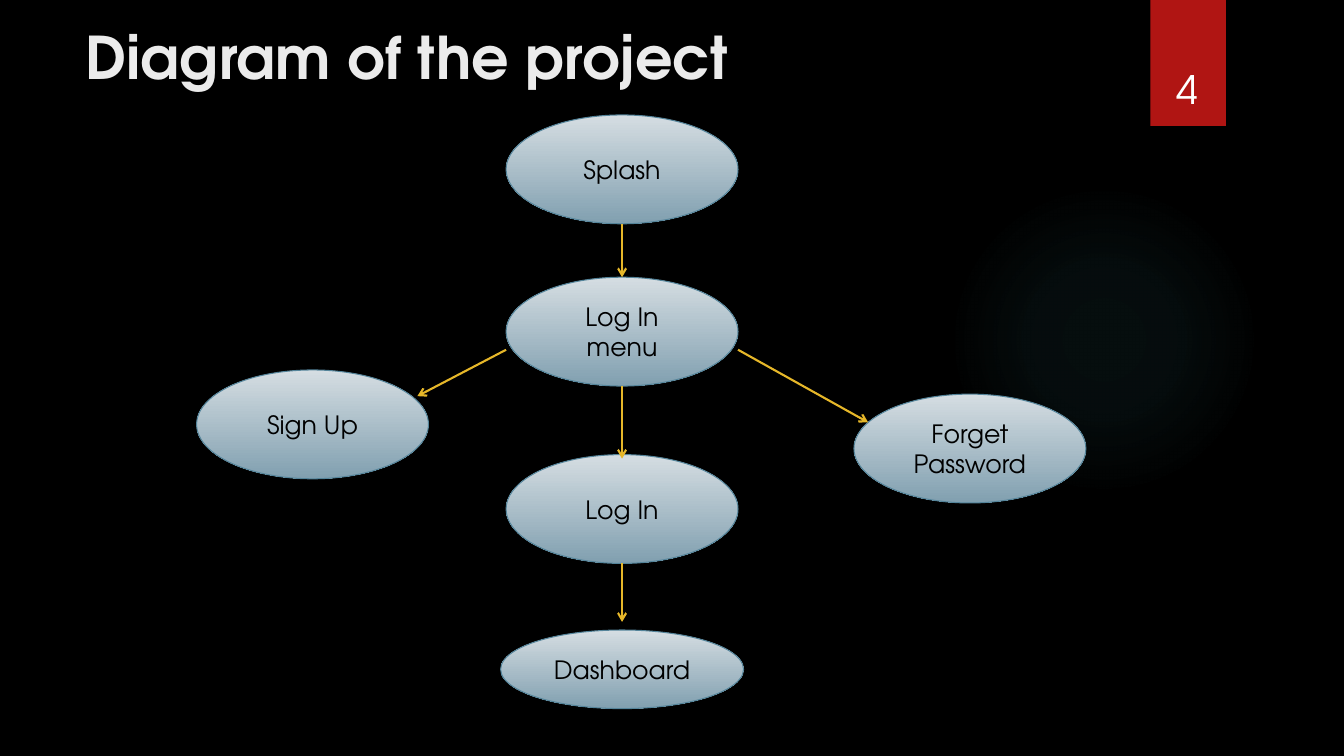
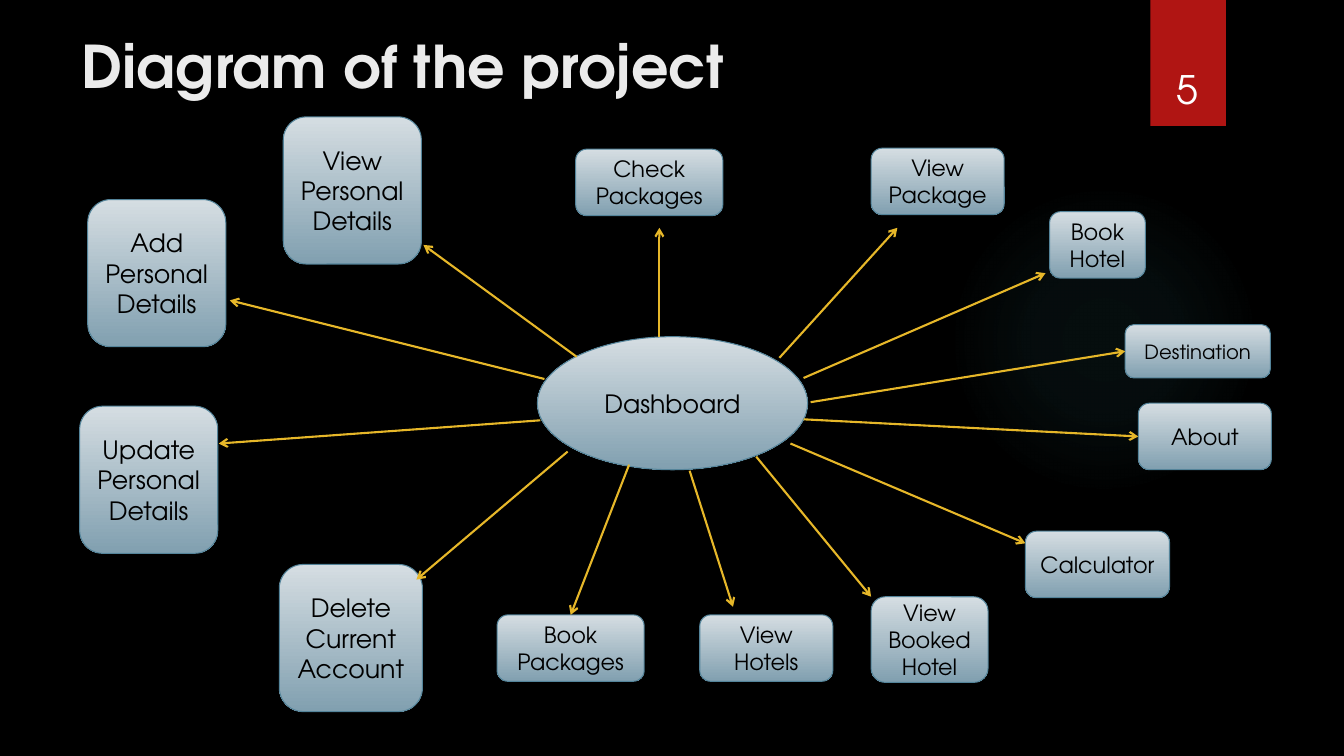
from lxml import etree
from pptx import Presentation
from pptx.dml.color import RGBColor
from pptx.enum.shapes import MSO_CONNECTOR, MSO_SHAPE
from pptx.enum.text import MSO_ANCHOR, PP_ALIGN
from pptx.oxml import parse_xml
from pptx.oxml.ns import nsdecls, qn
from pptx.util import Inches, Pt

OVAL, ROUND, RECT = MSO_SHAPE.OVAL, MSO_SHAPE.ROUNDED_RECTANGLE, MSO_SHAPE.RECTANGLE
STRAIGHT = MSO_CONNECTOR.STRAIGHT
LEFT, CENTER = PP_ALIGN.LEFT, PP_ALIGN.CENTER
TOP, MIDDLE, BOTTOM = MSO_ANCHOR.TOP, MSO_ANCHOR.MIDDLE, MSO_ANCHOR.BOTTOM
SIDE_TOP, SIDE_LEFT = 0, 1

FONT = "TeX Gyre Adventor"
BLACK = RGBColor(0x00, 0x00, 0x00)
WHITE = RGBColor(0xFF, 0xFF, 0xFF)
TITLE_COLOR = RGBColor(0xEB, 0xEB, 0xEB)
BAND_RED = RGBColor(0xB0, 0x15, 0x13)
GLOW_TEAL = RGBColor(0x50, 0xB9, 0xC1)
NODE_LIGHT = RGBColor(0xD5, 0xDD, 0xE2)
NODE_DARK = RGBColor(0x81, 0xA0, 0xB0)
NODE_EDGE = RGBColor(0x54, 0x84, 0x9A)
ARROW_GOLD = RGBColor(0xE6, 0xB7, 0x29)

SLIDE_W, SLIDE_H = 13.33, 7.5
GLOW_STOPS = [(0, 7), (36, 6), (69, 0)]
AXIS = 6.17
STEP = (2.3, 1.08)
TALL = (1.37, 1.46)
WIDE = (1.46, 0.66)
SHORT = (1.32, 0.66)


def centred(y, size):
    return AXIS - size[0] / 2, y, *size


SLIDES = [
    {
        "title": "Diagram of the project",
        "title_box": (0.75, 0.16, 9.33, 1.65),
        "number": "4",
        "nodes": [
            (OVAL, "Splash", centred(1.14, STEP), 18),
            (OVAL, "Log In menu", centred(2.75, STEP), 18),
            (OVAL, "Forget Password", (8.47, 3.91, *STEP), 18),
            (OVAL, "Sign Up", (1.95, 3.67, *STEP), 18),
            (OVAL, "Log In", centred(4.51, STEP), 18),
            (OVAL, "Dashboard", centred(6.25, (2.41, 0.78)), 18),
        ],
        "arrows": [
            ((AXIS, 2.22), (AXIS, 2.75), "Log In menu", SIDE_TOP),
            ((5.02, 3.47), (4.14, 3.93)),
            ((AXIS, 3.83), (AXIS, 4.55)),
            ((7.32, 3.47), (8.61, 4.19)),
            ((AXIS, 5.59), (AXIS, 6.17)),
        ],
    },
    {
        "title": "Diagram of the project",
        "title_box": (0.71, 0.25, 10.29, 0.95),
        "number": "5",
        "nodes": [
            (OVAL, "Dashboard", (5.33, 3.34, 2.68, 1.32), 18),
            (ROUND, "Add Personal\nDetails", (0.87, 1.98, *TALL), 18),
            (ROUND, "Update Personal\nDetails", (0.79, 4.03, *TALL), 18),
            (ROUND, "View Personal\nDetails", (2.81, 1.16, *TALL), 18),
            (ROUND, "Delete Current Account", (2.77, 5.6, 1.42, 1.46), 18),
            (ROUND, "Check Packages", (5.71, 1.48, *WIDE), 16),
            (ROUND, "Book Packages", (4.93, 6.1, *WIDE), 16),
            (ROUND, "View Package", (8.64, 1.47, *SHORT), 16),
            (ROUND, "View Hotels", (6.94, 6.1, *SHORT), 16),
            (ROUND, "Book Hotel", (10.41, 2.1, 0.95, 0.66), 16),
            (ROUND, "View Booked Hotel", (8.64, 5.92, 1.16, 0.85), 16),
            (ROUND, "Destination", (11.16, 3.22, 1.44, 0.53), 14),
            (ROUND, "Calculator", (10.17, 5.27, 1.43, 0.66), 16),
            (ROUND, "About", (11.29, 4, *SHORT), 16),
        ],
        "arrows": [
            ((6.54, 3.34), (6.54, 2.26)),
            ((7.73, 3.55), (8.9, 2.26)),
            ((7.97, 3.75), (10.37, 2.71)),
            ((8.04, 3.99), (11.16, 3.49), "Destination", SIDE_LEFT),
            ((7.97, 4.16), (11.29, 4.34), "About", SIDE_LEFT),
            ((7.84, 4.4), (10.17, 5.39)),
            ((7.5, 4.53), (8.64, 5.92)),
            ((6.84, 4.67), (7.27, 6.02)),
            ((6.24, 4.61), (5.66, 6.1), "Book Packages", SIDE_TOP),
            ((5.63, 4.48), (4.13, 5.75)),
            ((5.36, 4.17), (2.17, 4.4)),
            ((5.4, 3.76), (2.28, 2.98)),
            ((5.72, 3.54), (4.2, 2.43)),
        ],
    },
]


def inches(values):
    return [Inches(v) for v in values]


def write(sp, text, size, color, align, anchor, bold=False):
    tf = sp.text_frame
    tf.word_wrap = True
    tf.vertical_anchor = anchor
    tf.text = text
    for p in tf.paragraphs:
        p.alignment = align
        for r in p.runs:
            r.font.name = FONT
            r.font.size = Pt(size)
            r.font.bold = bold
            r.font.color.rgb = color


def add_label(s, box, *style, **options):
    write(s.shapes.add_textbox(*inches(box)), *style, **options)


def add_plain(s, kind, box):
    sp = s.shapes.add_shape(kind, *inches(box))
    sp.shadow.inherit = False
    sp.line.fill.background()
    return sp


def add_glow(s):
    sp = add_plain(s, OVAL, (9.41, 1.83, 3.08, 3.08))
    stops = "".join(
        f'<a:gs pos="{pos * 1000}"><a:srgbClr val="{GLOW_TEAL}">'
        f'<a:alpha val="{alpha * 1000}"/></a:srgbClr></a:gs>'
        for pos, alpha in GLOW_STOPS
    )
    grad = parse_xml(
        f'<a:gradFill {nsdecls("a")} rotWithShape="1"><a:gsLst>{stops}</a:gsLst>'
        '<a:path path="circle"><a:fillToRect l="50000" t="50000" r="50000" b="50000"/>'
        "</a:path></a:gradFill>"
    )
    sp._element.spPr.find(qn("a:prstGeom")).addnext(grad)


def add_frame(prs, data):
    s = prs.slides.add_slide(prs.slide_layouts[6])
    s.background.fill.solid()
    s.background.fill.fore_color.rgb = BLACK
    add_glow(s)
    band = add_plain(s, RECT, (11.41, 0, 0.75, 1.25))
    band.fill.solid()
    band.fill.fore_color.rgb = BAND_RED
    add_label(s, data["title_box"], data["title"], 42, TITLE_COLOR, LEFT, TOP, bold=True)
    add_label(s, (11.32, 0.32, 0.92, 0.84), data["number"], 28, WHITE, CENTER, BOTTOM)
    return s


def add_node(s, kind, text, box, size):
    sp = s.shapes.add_shape(kind, *inches(box))
    sp.shadow.inherit = False
    sp.fill.gradient()
    sp.fill.gradient_angle = 270
    for stop, color in zip(sp.fill.gradient_stops, (NODE_LIGHT, NODE_DARK)):
        stop.color.rgb = color
    sp.line.color.rgb = NODE_EDGE
    sp.line.width = Pt(0.75)
    write(sp, text, size, BLACK, CENTER, MIDDLE)
    return sp


def add_arrow(s, nodes, start, end, target=None, side=None):
    line = s.shapes.add_connector(STRAIGHT, *inches(start + end))
    if target:
        line.end_connect(nodes[target], side)
    line.line.color.rgb = ARROW_GOLD
    line.line.width = Pt(1.5)
    etree.SubElement(line.line._get_or_add_ln(), qn("a:tailEnd"), type="arrow")
    etree.SubElement(line._element.spPr, qn("a:effectLst"))


def main():
    prs = Presentation()
    prs.slide_width, prs.slide_height = inches((SLIDE_W, SLIDE_H))
    for data in SLIDES:
        s = add_frame(prs, data)
        nodes = {node[1]: add_node(s, *node) for node in data["nodes"]}
        for arrow in data["arrows"]:
            add_arrow(s, nodes, *arrow)
    prs.save("out.pptx")


if __name__ == "__main__":
    main()
